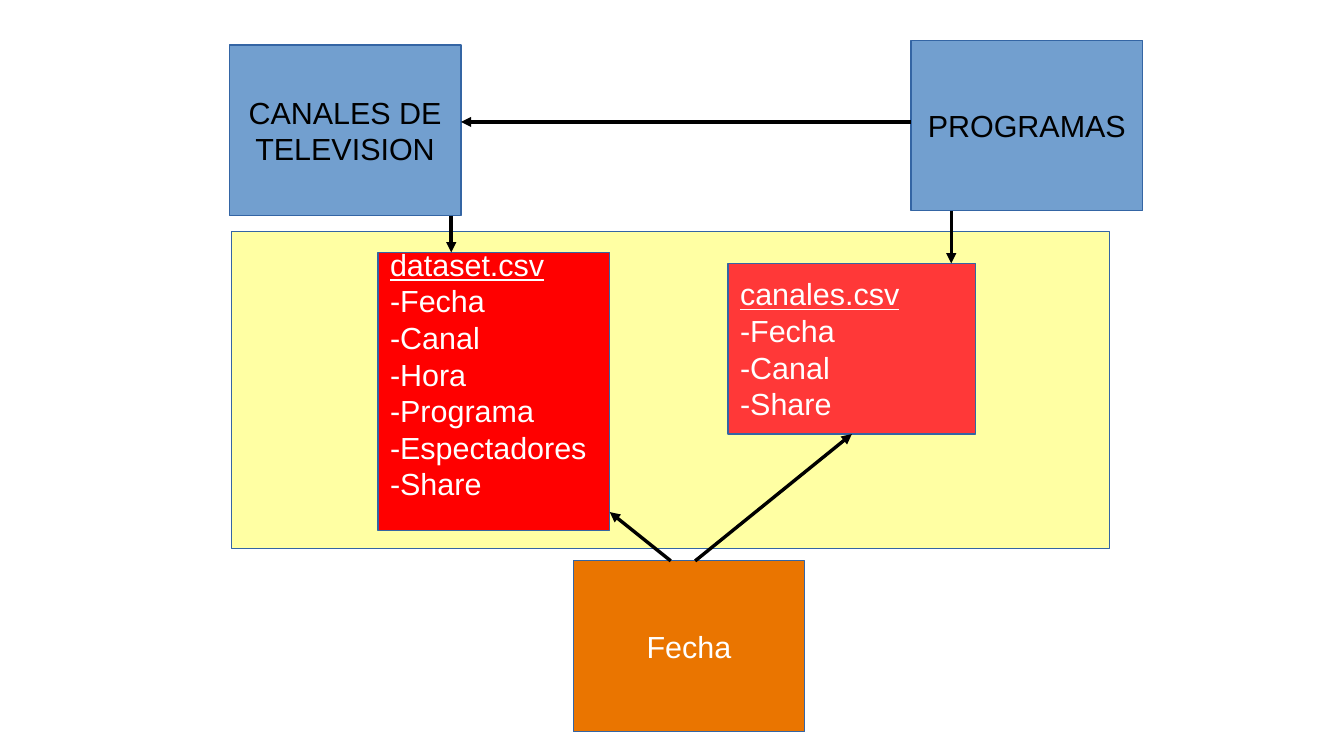
from dataclasses import dataclass
from typing import Optional

from lxml import etree
from pptx import Presentation
from pptx.dml.color import RGBColor
from pptx.enum import shapes, text
from pptx.oxml import ns
from pptx.util import Pt

COLORS = {
    "yellow": "FFFF00",
    "blue": "729FCF",
    "red": "FF0000",
    "light_red": "FF3838",
    "orange": "EA7500",
    "border": "3465A4",
    "black": "000000",
    "white": "FFFFFF",
}
BOX_WIDTH, BOX_HEIGHT = 136.8, 100.8


@dataclass(frozen=True)
class Box:
    left: float
    top: float
    fill: str
    lines: tuple[str, ...] = ()
    width: float = BOX_WIDTH
    height: float = BOX_HEIGHT
    ink: str = "white"
    is_file: bool = False
    inset_top: float = 3.6
    inset_bottom: float = 3.6
    opacity: Optional[int] = None


@dataclass(frozen=True)
class Arrow:
    start: tuple[float, float]
    end: tuple[float, float]
    target: Optional[str] = None
    site: int = 0


BOXES = {
    "datos": Box(136.8, 136.8, "yellow", width=518.4, height=187.2, opacity=36),
    "canales": Box(135.36, 26.64, "blue", ("CANALES DE", "TELEVISION"), ink="black"),
    "programas": Box(537.84, 23.76, "blue", ("PROGRAMAS",), ink="black"),
    "dataset_csv": Box(
        223.2, 149.04, "red",
        ("dataset.csv", "-Fecha", "-Canal", "-Hora", "-Programa", "-Espectadores", "-Share"),
        height=164.16, is_file=True, inset_top=0, inset_bottom=20.8,
    ),
    "canales_csv": Box(
        429.84, 155.52, "light_red",
        ("canales.csv", "-Fecha", "-Canal", "-Share"),
        width=146.16, is_file=True,
    ),
    "fecha": Box(338.4, 331.2, "orange", ("Fecha",)),
}

ARROWS = (
    Arrow((396, 331.2), (360, 302.4)),
    Arrow((410.4, 331.2), (502.92, 256.32), "canales_csv", 2),
    Arrow((537.84, 72), (272.16, 72)),
    Arrow((266.4, 127.44), (266.4, 149.04)),
    Arrow((561.6, 124.56), (561.6, 155.52)),
)


def rgb(name: str) -> RGBColor:
    return RGBColor.from_string(COLORS[name])


def write_lines(shape, box: Box) -> None:
    frame = shape.text_frame
    frame.word_wrap = True
    frame.vertical_anchor = text.MSO_ANCHOR.MIDDLE
    frame.margin_left = frame.margin_right = Pt(7.2)
    frame.margin_top, frame.margin_bottom = Pt(box.inset_top), Pt(box.inset_bottom)
    for index, line in enumerate(box.lines):
        paragraph = frame.add_paragraph() if index else frame.paragraphs[0]
        paragraph.alignment = text.PP_ALIGN.LEFT if box.is_file else text.PP_ALIGN.CENTER
        paragraph.line_spacing = Pt(21.6)
        run = paragraph.add_run()
        run.text = line
        run.font.name = "Arial"
        run.font.size = Pt(18)
        run.font.color.rgb = rgb(box.ink)
        run.font.underline = box.is_file and index == 0


def draw_box(slide, box: Box):
    shape = slide.shapes.add_shape(
        shapes.MSO_SHAPE.RECTANGLE,
        Pt(box.left), Pt(box.top), Pt(box.width), Pt(box.height),
    )
    shape.shadow.inherit = False
    shape.fill.solid()
    shape.fill.fore_color.rgb = rgb(box.fill)
    if box.opacity is not None:
        color = shape.fill._xPr.find(".//" + ns.qn("a:srgbClr"))
        etree.SubElement(color, ns.qn("a:alpha"), val=str(box.opacity * 1000))
    shape.line.color.rgb = rgb("border")
    shape.line.width = Pt(0)
    if box.lines:
        write_lines(shape, box)
    return shape


def draw_arrow(slide, arrow: Arrow, drawn: dict) -> None:
    connector = slide.shapes.add_connector(
        shapes.MSO_CONNECTOR.STRAIGHT,
        *(Pt(value) for value in arrow.start + arrow.end),
    )
    if arrow.target:
        connector.end_connect(drawn[arrow.target], arrow.site)
    connector.line.color.rgb = rgb("black")
    connector.line.width = Pt(0)
    etree.SubElement(connector.line._get_or_add_ln(), ns.qn("a:tailEnd"), type="triangle")
    etree.SubElement(connector._element.spPr, ns.qn("a:effectLst"))


def main() -> None:
    deck = Presentation()
    deck.slide_width, deck.slide_height = Pt(793.44), Pt(446.4)
    slide = deck.slides.add_slide(deck.slide_layouts[6])
    drawn = {name: draw_box(slide, box) for name, box in BOXES.items()}
    for arrow in ARROWS:
        draw_arrow(slide, arrow, drawn)
    deck.save("out.pptx")


if __name__ == "__main__":
    main()
